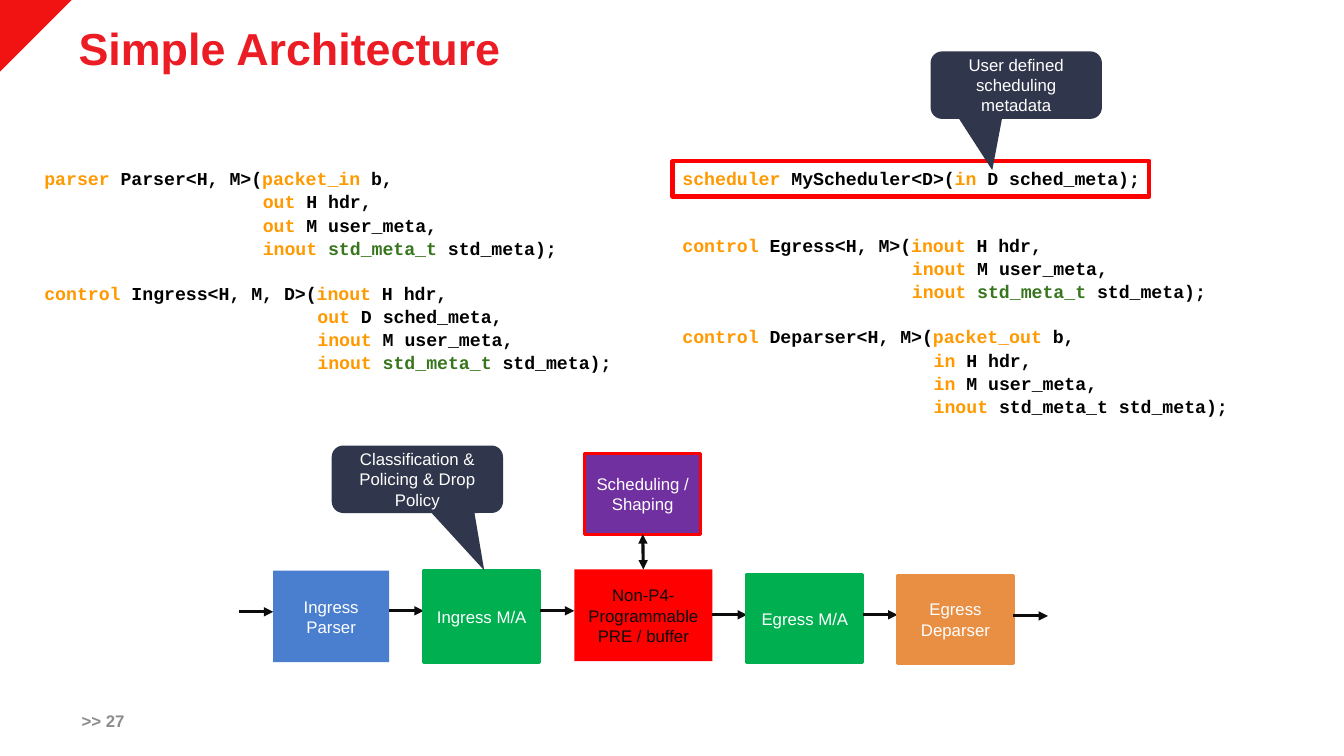
from dataclasses import dataclass

from lxml import etree
from pptx import Presentation
from pptx.dml.color import RGBColor
from pptx.enum.shapes import MSO_CONNECTOR, MSO_SHAPE
from pptx.enum.text import MSO_ANCHOR, MSO_AUTO_SIZE, PP_ALIGN
from pptx.oxml.ns import qn
from pptx.util import Inches, Pt

RECT = MSO_SHAPE.RECTANGLE
CALLOUT = MSO_SHAPE.ROUNDED_RECTANGULAR_CALLOUT
STRAIGHT = MSO_CONNECTOR.STRAIGHT
TOP, MIDDLE = MSO_ANCHOR.TOP, MSO_ANCHOR.MIDDLE
LEFT, CENTER = PP_ALIGN.LEFT, PP_ALIGN.CENTER
FIXED = MSO_AUTO_SIZE.NONE

WHITE = RGBColor(0xFF, 0xFF, 0xFF)
BLACK = RGBColor(0x00, 0x00, 0x00)
INK = RGBColor(0x0C, 0x0C, 0x0C)
GRAY = RGBColor(0x8C, 0x8C, 0x8C)
RED = RGBColor(0xFF, 0x00, 0x00)
CRIMSON = RGBColor(0xEC, 0x1C, 0x24)
SCARLET = RGBColor(0xF1, 0x12, 0x12)
ORANGE = RGBColor(0xFF, 0x99, 0x00)
FOREST = RGBColor(0x38, 0x76, 0x1D)
GREEN = RGBColor(0x00, 0xB0, 0x50)
BLUE = RGBColor(0x4A, 0x7E, 0xCF)
AMBER = RGBColor(0xE9, 0x8F, 0x44)
PURPLE = RGBColor(0x70, 0x30, 0xA0)
NAVY = RGBColor(0x30, 0x36, 0x4B)

WIDTH, HEIGHT = Inches(13.33), Inches(7.5)
GAP = 2.57
CODE_SIZE = 13
CODE_COL = Pt(CODE_SIZE * 0.6)
CODE_ROW = Pt(15.6)

WORDS = ("parser", "control", "scheduler", "packet_in", "packet_out", "in", "out", "inout")
HUES = {**dict.fromkeys(WORDS, ORANGE), "std_meta_t": FOREST}

TITLE_FONT = {"name": "Arial", "size": Pt(32), "bold": True}
CODE_FONT = {"name": "Courier New", "size": Pt(CODE_SIZE), "bold": True}
LABEL_FONT = {"name": "Arial", "size": Pt(12), "bold": False}
PAGE_FONT = {**LABEL_FONT, "bold": True}
CODE_PARA = {"alignment": LEFT, "line_spacing": 1.06, "space_after": Pt(0)}


@dataclass
class Area:
    x: float
    y: float
    w: float
    h: float

    def place(self) -> tuple[int, int, int, int]:
        return across(self.x), down(self.y), across(self.w), down(self.h)


@dataclass
class Line:
    text: str
    indent: int = 0
    gap: int = 0


@dataclass
class Stage:
    text: str
    y: float
    h: float
    fill: RGBColor
    flow: float
    w: float = 8.63
    edge: RGBColor | None = None
    ink: RGBColor = WHITE


@dataclass
class Note:
    text: str
    x: float
    y: float
    tip: tuple[float, float, float]


PARSER = [
    Line("parser| Parser<H, M>(|packet_in| b,"),
    Line("out| H hdr,", 20),
    Line("out| M user_meta,", 20),
    Line("inout |std_meta_t |std_meta);", 20),
    Line("control| Ingress<H, M, D>(|inout| H hdr,", gap=1),
    Line("out| D sched_meta,", 25),
    Line("inout| M user_meta,", 25),
    Line("inout |std_meta_t |std_meta);", 25),
]
EGRESS = [
    Line("scheduler |MyScheduler<D>(|in |D sched_meta);"),
    Line("control| Egress<H, M>(|inout| H hdr,", gap=2),
    Line("inout| M user_meta,", 21),
    Line("inout |std_meta_t |std_meta);", 21),
    Line("control |Deparser<H, M>(|packet_out| b,", gap=1),
    Line("in| H hdr,", 23),
    Line("in| M user_meta,", 23),
    Line("inout |std_meta_t std_meta);", 23),
]
BUFFER = "Non-P4-Programmable PRE / buffer"
STAGES = [
    Stage("Ingress Parser", 75.47, 12.13, BLUE, 80.8),
    Stage("Ingress M/A", 75.47, 12.13, GREEN, 80.8, edge=GREEN),
    Stage(BUFFER, 75.33, 12.13, RED, 81.33, w=10.28, ink=INK),
    Stage("Egress M/A", 76, 11.6, GREEN, 81.33, edge=GREEN),
    Stage("Egress Deparser", 76.13, 11.6, AMBER, 81.47, edge=AMBER),
]
NOTES = [
    Note("Classification & Policing & Drop Policy", 24.68, 58.93, (0.39, 1.35, 0.17)),
    Note("User defined scheduling metadata", 69.24, 6.8, (-0.14, 1.26, 0.17)),
]


def across(share: float) -> int:
    return round(WIDTH * share / 100)


def down(share: float) -> int:
    return round(HEIGHT * share / 100)


def apply(item, form: dict) -> None:
    for name, value in form.items():
        setattr(item, name, value)


def add_run(para, text: str, form: dict, ink: RGBColor) -> None:
    run = para.add_run()
    run.text = text
    apply(run.font, form)
    run.font.color.rgb = ink


def write(shape, text: str, form: dict, ink: RGBColor, align=LEFT) -> None:
    apply(shape.text_frame, {"word_wrap": True, "auto_size": FIXED, "vertical_anchor": MIDDLE})
    para = shape.text_frame.paragraphs[0]
    para.alignment = align
    add_run(para, text, form, ink)


def write_code(shape, lines: list[Line]) -> None:
    frame = shape.text_frame
    apply(frame, {"word_wrap": True, "auto_size": FIXED, "vertical_anchor": TOP})
    for spot, line in enumerate(lines):
        para = frame.add_paragraph() if spot else frame.paragraphs[0]
        apply(para, {**CODE_PARA, "space_before": line.gap * CODE_ROW})
        props = para._p.get_or_add_pPr()
        props.set("marL", str(line.indent * CODE_COL))
        props.set("indent", "0")
        etree.SubElement(props, qn("a:buNone"))
        for part in line.text.split("|"):
            add_run(para, part, CODE_FONT, HUES.get(part.strip(), BLACK))


def add_box(slide, area: Area, fill=None, edge=None, weight=2.25, kind=RECT):
    box = slide.shapes.add_shape(kind, *area.place())
    box.shadow.inherit = False
    if fill is None:
        box.fill.background()
    else:
        box.fill.solid()
        box.fill.fore_color.rgb = fill
    if edge is None:
        box.line.fill.background()
    else:
        box.line.color.rgb = edge
        box.line.width = Pt(weight)
    return box


def add_arrow(slide, x: float, y: float, ends: tuple[str, ...] = ("tailEnd",)):
    arrow = slide.shapes.add_connector(STRAIGHT, across(x), down(y), across(x + GAP), down(y))
    arrow.line.color.rgb = INK
    arrow.line.width = Pt(2.25)
    for end in ends:
        etree.SubElement(arrow.line._get_or_add_ln(), qn(f"a:{end}"), type="triangle")
    etree.SubElement(arrow._element.spPr, qn("a:effectLst"))
    return arrow


def add_corner(slide) -> None:
    pen = slide.shapes.build_freeform(across(5.33), 0)
    pen.add_line_segments([(0, 0), (0, down(9.47))], close=True)
    corner = pen.convert_to_shape()
    corner.shadow.inherit = False
    corner.fill.solid()
    corner.fill.fore_color.rgb = SCARLET
    corner.line.fill.background()


def set_place(shape, area: Area) -> None:
    apply(shape, dict(zip(("left", "top", "width", "height"), area.place())))


def add_flow(slide) -> None:
    left = 20.33
    boxes = {}
    add_arrow(slide, left - GAP, 80.93)
    for stage in STAGES:
        box = add_box(slide, Area(left, stage.y, stage.w, stage.h), stage.fill, stage.edge)
        write(box, stage.text, LABEL_FONT, stage.ink, CENTER)
        boxes[stage.text] = box
        left += stage.w
        add_arrow(slide, left, stage.flow)
        left += GAP
    shaper = add_box(slide, Area(43.51, 60, 8.63, 10.67), PURPLE, RED)
    write(shaper, "Scheduling / Shaping", LABEL_FONT, WHITE, CENTER)
    link = add_arrow(slide, 47.86, 75.33, ("headEnd", "tailEnd"))
    link.begin_connect(boxes[BUFFER], 0)
    link.end_connect(shaper, 2)


def main() -> None:
    deck = Presentation()
    apply(deck, {"slide_width": WIDTH, "slide_height": HEIGHT})
    slide = deck.slides.add_slide(deck.slide_layouts[1])
    add_corner(slide)

    title, body = slide.shapes.title, slide.placeholders[1]
    set_place(title, Area(5.1, 3.07, 86.5, 7.33))
    write(title, "Simple Architecture", TITLE_FONT, CRIMSON)
    title.text_frame.paragraphs[0].line_spacing = 0.9
    set_place(body, Area(2.55, 21.33, 47.41, 31.07))
    write_code(body, PARSER)
    page = slide.shapes.add_textbox(*Area(5.33, 92.67, 7.43, 5.33).place())
    write(page, ">> 27", PAGE_FONT, GRAY)
    code = slide.shapes.add_textbox(*Area(50.04, 21.33, 49.9, 34.8).place())
    write_code(code, EGRESS)
    add_box(slide, Area(50.04, 21.33, 35.48, 4.67), edge=RED, weight=3)

    add_flow(slide)
    for note in NOTES:
        bubble = add_box(slide, Area(note.x, note.y, 12.75, 8.93), NAVY, kind=CALLOUT)
        for spot, value in enumerate(note.tip):
            bubble.adjustments[spot] = value
        write(bubble, note.text, LABEL_FONT, WHITE, CENTER)
    deck.save("out.pptx")


if __name__ == "__main__":
    main()
